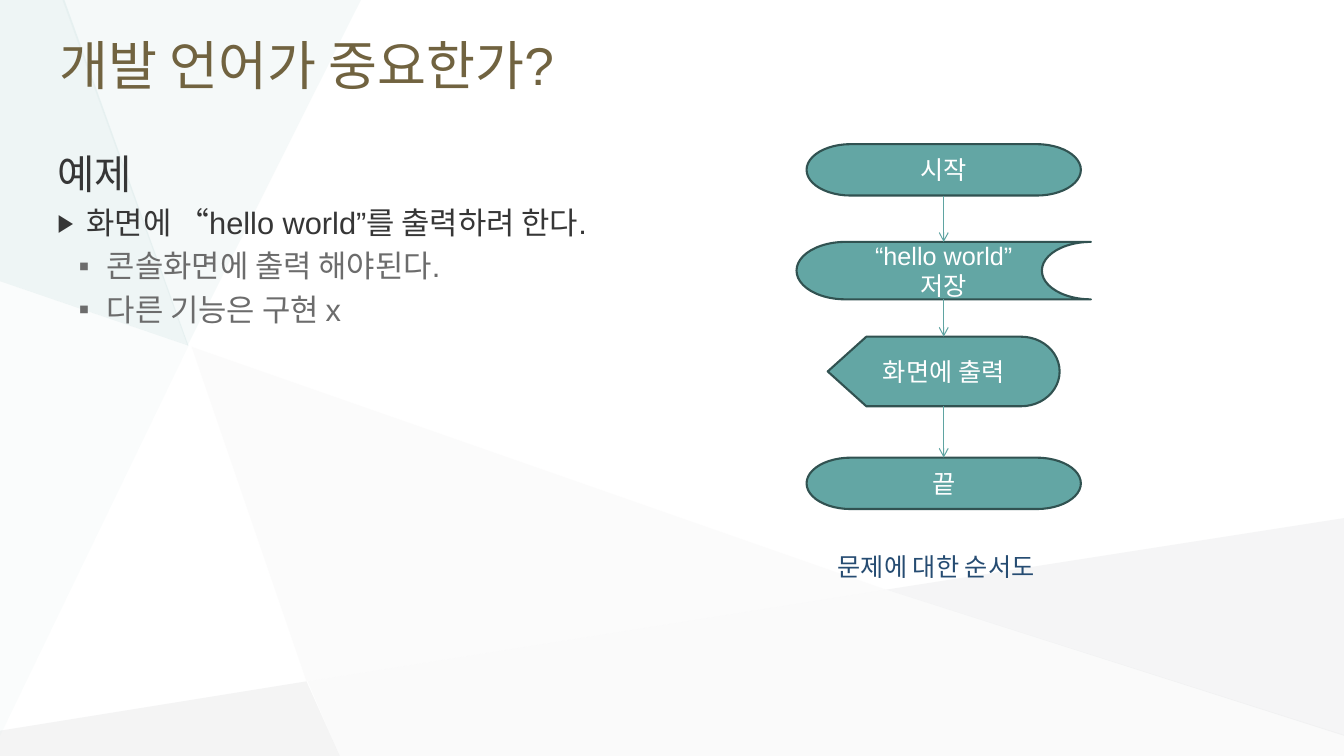
from lxml import etree
from pptx import Presentation
from pptx.dml.color import RGBColor
from pptx.enum.shapes import MSO_CONNECTOR, MSO_SHAPE
from pptx.enum.text import MSO_ANCHOR, MSO_AUTO_SIZE, PP_ALIGN
from pptx.oxml.ns import qn
from pptx.util import Inches, Pt

STRAIGHT = MSO_CONNECTOR.STRAIGHT
TERMINATOR = MSO_SHAPE.FLOWCHART_TERMINATOR
STORAGE = MSO_SHAPE.FLOWCHART_STORED_DATA
ONLINE_STORAGE = MSO_SHAPE.FLOWCHART_STORED_DATA
DISPLAY = MSO_SHAPE.FLOWCHART_DISPLAY
MIDDLE, TOP = MSO_ANCHOR.MIDDLE, MSO_ANCHOR.TOP
LEFT, CENTER = PP_ALIGN.LEFT, PP_ALIGN.CENTER
NO_AUTOFIT = MSO_AUTO_SIZE.NONE
BOTTOM_SITE, TOP_SITE = 2, 0

COLORS = {
    "title": "716340", "text": "363636", "subtext": "6C6C6C",
    "step": "63A6A4", "step_edge": "315251", "step_text": "FFFFFF",
    "arrow": "5FA4A2", "caption": "264C72",
    "warm": "F3F2F2", "gray": "B6B8BA", "light_gray": "C6C8CA",
    "pale_teal": "E0EDED", "teal": "C1DBDB",
}


def rgb(name):
    return RGBColor.from_string(COLORS[name])


def style_text(paragraph, size, color, align):
    paragraph.alignment = align
    for run in paragraph.runs:
        run.font.name = "Arial"
        run.font.size = Pt(size)
        run.font.color.rgb = rgb(color)


prs = Presentation()
prs.slide_width, prs.slide_height = Inches(13.33), Inches(7.5)
slide = prs.slides.add_slide(prs.slide_layouts[1])
shapes = slide.shapes
title, body = shapes.title, slide.placeholders[1]

facets = [
    ("warm", 26, [(1.9, 3.44), (3.04, 6.76), (8.79, 5.85)]),
    ("gray", 15, [(3.04, 6.76), (0, 7.25), (0, 7.5), (3.37, 7.5)]),
    ("pale_teal", 31, [(3.58, 0), (0.62, 0), (1.86, 3.43)]),
    ("light_gray", 17, [(13.33, 5.14), (8.79, 5.85), (13.33, 7.3)]),
    ("gray", 6, [(8.79, 5.85), (3.05, 6.76), (3.37, 7.5), (13.33, 7.5), (13.33, 7.29)]),
    ("teal", 27, [(0.64, 0), (0, 0), (0, 2.79), (1.87, 3.43)]),
    ("teal", 8, [(0, 2.79), (0, 7.3), (1.87, 3.43)]),
]
for color, opacity, corners in facets:
    points = [(Inches(x), Inches(y)) for x, y in corners]
    outline = shapes.build_freeform(*points[0])
    outline.add_line_segments(points[1:], close=True)
    facet = outline.convert_to_shape()
    facet.shadow.inherit = False
    facet.line.fill.background()
    facet.fill.solid()
    facet.fill.fore_color.rgb = rgb(color)
    fill_color = facet.element.spPr.find(".//" + qn("a:srgbClr"))
    etree.SubElement(fill_color, qn("a:alpha"), val=str(opacity * 1000))

for holder, anchor, box in [
    (title, MIDDLE, (0.49, 0.12, 12.36, 1.03)),
    (body, TOP, (0.47, 1.43, 6.19, 5.43)),
]:
    holder.element.getparent().append(holder.element)
    holder.left, holder.top, holder.width, holder.height = map(Inches, box)
    holder.text_frame.vertical_anchor = anchor
    holder.text_frame.auto_size = NO_AUTOFIT

title.text_frame.text = "개발 언어가 중요한가?"
style_text(title.text_frame.paragraphs[0], 38, "title", LEFT)

outline_items = [
    ("예제", 0, 29, "text", 0, 0, None, 100),
    ("화면에 “hello world”를 출력하려 한다.", 0, 22, "text", 0.29, -0.34, "▶", 80),
    ("콘솔화면에 출력 해야된다.", 1, 22, "subtext", 0.49, -0.28, "▪", 100),
    ("다른 기능은 구현 x", 1, 22, "subtext", 0.49, -0.28, "▪", 100),
]
body.text_frame.text = "\n".join(item[0] for item in outline_items)
for paragraph, item in zip(body.text_frame.paragraphs, outline_items):
    _, level, size, color, margin, indent, bullet, bullet_size = item
    paragraph.level = level
    style_text(paragraph, size, color, LEFT)
    props = paragraph._p.get_or_add_pPr()
    props.set("marL", str(Inches(margin)))
    props.set("indent", str(Inches(indent)))
    if bullet:
        bullet_color = etree.SubElement(props, qn("a:buClr"))
        etree.SubElement(bullet_color, qn("a:srgbClr"), val=COLORS[color])
        etree.SubElement(props, qn("a:buSzPct"), val=str(bullet_size * 1000))
        etree.SubElement(props, qn("a:buFont"), typeface="Arial")
        etree.SubElement(props, qn("a:buChar"), char=bullet)
    else:
        etree.SubElement(props, qn("a:buNone"))

FLOW_CENTER = 9.36
flow_steps = [
    (TERMINATOR, "시작", 1.43, 2.72, 0.51),
    (ONLINE_STORAGE, "“hello world”\n저장", 2.4, 2.92, 0.57),
    (DISPLAY, "화면에 출력", 3.34, 2.3, 0.69),
    (TERMINATOR, "끝", 4.54, 2.72, 0.51),
]
steps = []
for kind, label, top, width, height in flow_steps:
    step = shapes.add_shape(kind, Inches(FLOW_CENTER - width / 2), Inches(top),
                            Inches(width), Inches(height))
    step.shadow.inherit = False
    step.fill.solid()
    step.fill.fore_color.rgb = rgb("step")
    step.line.color.rgb = rgb("step_edge")
    step.line.width = Pt(1.5)
    step.text_frame.text = label
    step.text_frame.word_wrap = True
    step.text_frame.vertical_anchor = MIDDLE
    for paragraph in step.text_frame.paragraphs:
        style_text(paragraph, 18, "step_text", CENTER)
    steps.append(step)

for upper, lower in zip(steps, steps[1:]):
    arrow = shapes.add_connector(STRAIGHT, 0, 0, 0, 0)
    arrow.begin_connect(upper, BOTTOM_SITE)
    arrow.end_connect(lower, TOP_SITE)
    arrow.line.color.rgb = rgb("arrow")
    arrow.line.width = Pt(0.75)
    etree.SubElement(arrow.line._get_or_add_ln(), qn("a:tailEnd"), type="arrow")
    etree.SubElement(arrow.element.spPr, qn("a:effectLst"))

caption = shapes.add_textbox(Inches(8.21), Inches(5.42), Inches(2.3), Inches(0.4))
caption.text_frame.word_wrap = True
caption.text_frame.text = "문제에 대한 순서도"
style_text(caption.text_frame.paragraphs[0], 18, "caption", LEFT)

prs.save("out.pptx")
